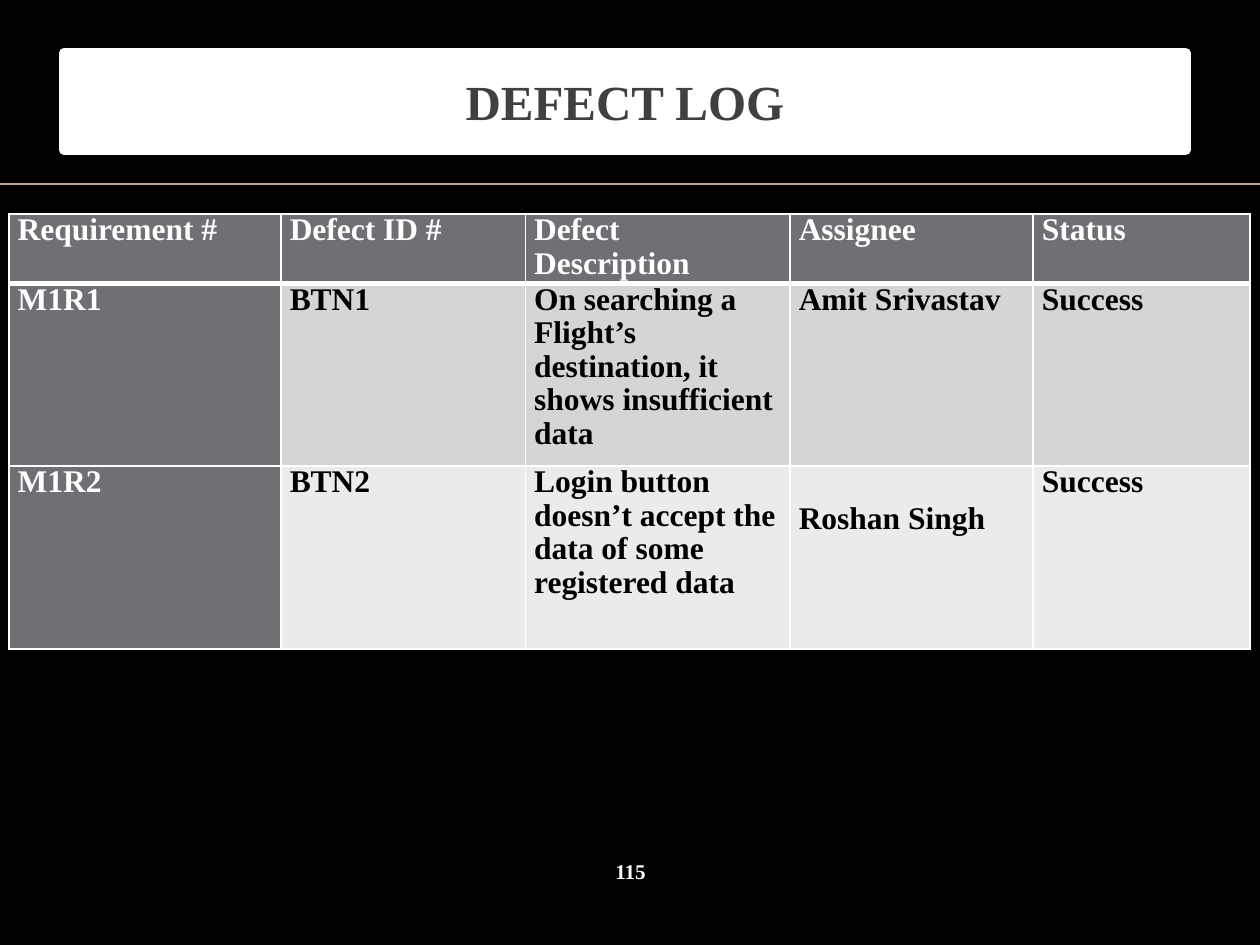
"""Build the defect log slide."""
from lxml import etree
from pptx import Presentation
from pptx.dml.color import RGBColor
from pptx.enum.shapes import MSO_CONNECTOR, MSO_SHAPE
from pptx.enum.text import MSO_ANCHOR, PP_ALIGN
from pptx.oxml.ns import qn
from pptx.util import Inches, Pt

LINE, RECT = MSO_CONNECTOR.STRAIGHT, MSO_SHAPE.RECTANGLE
MIDDLE, TOP = MSO_ANCHOR.MIDDLE, MSO_ANCHOR.TOP
CENTER, LEFT = PP_ALIGN.CENTER, PP_ALIGN.LEFT
BLACK = RGBColor(0x00, 0x00, 0x00)
WHITE = RGBColor(0xFF, 0xFF, 0xFF)
DARK = RGBColor(0x40, 0x40, 0x40)
TAN = RGBColor(0xBB, 0xAA, 0x8A)
GRAY = RGBColor(0x6F, 0x6F, 0x74)
BANDS = [RGBColor(0xD5, 0xD5, 0xD6), RGBColor(0xEB, 0xEB, 0xEB)]

TITLE = "DEFECT LOG"
NUMBER = "115"
ROWS = [
    ["Requirement #", "Defect ID #", "Defect Description", "Assignee", "Status"],
    ["M1R1", "BTN1",
     "On searching a Flight’s destination, it shows insufficient data",
     "Amit Srivastav", "Success"],
    ["M1R2", "BTN2",
     "Login button doesn’t accept the data of some registered data",
     "Roshan Singh", "Success"],
]
WIDTHS = [2.16, 1.94, 2.1, 1.93, 1.72]
HEIGHTS = [0.55, 1.45, 1.45]
SPACING = {"Roshan Singh": 2.0}


def write(frame, text, size=18, color=BLACK, align=LEFT, space=None):
    para = frame.paragraphs[0]
    para.alignment = align
    para.line_spacing = space
    run = para.add_run()
    run.text = text
    font = run.font
    font.name, font.size, font.bold = "Times New Roman", Pt(size), True
    font.color.rgb = color


def border(cell, low):
    props = cell._tc.get_or_add_tcPr()
    sides = [("a:lnL", 1), ("a:lnR", 1), ("a:lnT", 1), ("a:lnB", low)]
    for spot, (side, width) in enumerate(sides):
        edge = etree.Element(qn(side), w=str(Pt(width)))
        fill = etree.SubElement(edge, qn("a:solidFill"))
        etree.SubElement(fill, qn("a:srgbClr"), val=str(WHITE))
        props.insert(spot, edge)


def add_log(slide):
    frame = slide.shapes.add_table(
        len(ROWS), len(WIDTHS), Inches(0.07), Inches(1.7),
        Inches(sum(WIDTHS)), Inches(sum(HEIGHTS)))
    table = frame.table
    for column, width in zip(table.columns, WIDTHS):
        column.width = Inches(width)
    for row, height in zip(table.rows, HEIGHTS):
        row.height = Inches(height)
    for r, texts in enumerate(ROWS):
        for c, text in enumerate(texts):
            cell = table.cell(r, c)
            head = r == 0 or c == 0
            cell.margin_left = cell.margin_right = Inches(0.07)
            cell.margin_top = cell.margin_bottom = 0
            cell.vertical_anchor = TOP
            cell.fill.solid()
            cell.fill.fore_color.rgb = GRAY if head else BANDS[r - 1]
            border(cell, 3 if r == 0 else 1)
            write(cell.text_frame, text, color=WHITE if head else BLACK,
                  space=SPACING.get(text, 0.96))


def main():
    deck = Presentation()
    deck.slide_width, deck.slide_height = Inches(10), Inches(7.5)
    slide = deck.slides.add_slide(deck.slide_layouts[6])
    back = slide.background.fill
    back.solid()
    back.fore_color.rgb = BLACK

    rule = slide.shapes.add_connector(
        LINE, 0, Inches(1.46), Inches(10), Inches(1.46))
    rule.line.color.rgb, rule.line.width = TAN, Pt(1)
    etree.SubElement(rule._element.spPr, qn("a:effectLst"))

    add_log(slide)

    title = slide.shapes.add_shape(
        RECT, Inches(0.51), Inches(0.42), Inches(8.9), Inches(0.77))
    title.shadow.inherit = False
    title.fill.solid()
    title.fill.fore_color.rgb = WHITE
    title.line.color.rgb, title.line.width = WHITE, Pt(6)
    title.text_frame.vertical_anchor = MIDDLE
    write(title.text_frame, TITLE, size=28, color=DARK, align=CENTER)

    box = slide.shapes.add_textbox(
        Inches(4.42), Inches(6.75), Inches(1.17), Inches(0.33))
    frame = box.text_frame
    frame.word_wrap, frame.vertical_anchor = True, MIDDLE
    frame.margin_left = frame.margin_right = 0
    frame.margin_top = frame.margin_bottom = 0
    write(frame, NUMBER, size=12, color=WHITE, align=CENTER)
    deck.save("out.pptx")


if __name__ == "__main__":
    main()
